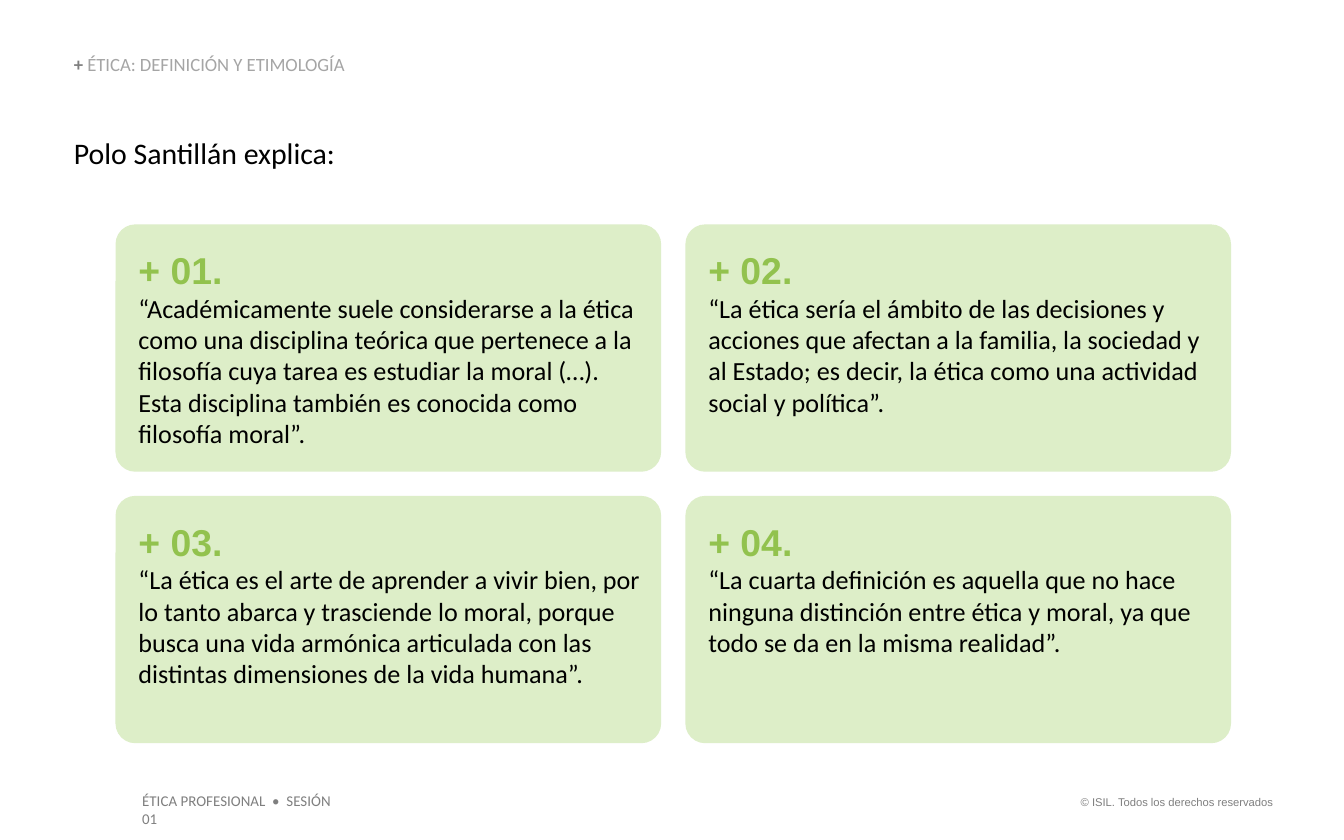
import pptx
import pptx.dml.color
import pptx.enum.shapes
import pptx.enum.text
import pptx.util
from dataclasses import dataclass

Align = pptx.enum.text.PP_ALIGN
Anchor = pptx.enum.text.MSO_ANCHOR


# Content
TITLE = "Polo Santillán explica:"
SECTION_MARK, SECTION = "+ ", "ÉTICA: DEFINICIÓN Y ETIMOLOGÍA"
COURSE = "ÉTICA PROFESIONAL  •  SESIÓN 01"
COPYRIGHT = "© ISIL. Todos los derechos reservados"
DEFINITIONS = [
    "“Académicamente suele considerarse a la ética como una disciplina teórica que "
    "pertenece a la filosofía cuya tarea es estudiar la moral (…). Esta disciplina "
    "también es conocida como filosofía moral”.",
    "“La ética sería el ámbito de las decisiones y acciones que afectan a la familia, "
    "la sociedad y al Estado; es decir, la ética como una actividad social y política”.",
    "“La ética es el arte de aprender a vivir bien, por lo tanto abarca y trasciende lo "
    "moral, porque busca una vida armónica articulada con las distintas dimensiones de "
    "la vida humana”.",
    "“La cuarta definición es aquella que no hace ninguna distinción entre ética y "
    "moral, ya que todo se da en la misma realidad”.",
]


# Theme: each style is font, size, colour, bold
@dataclass(frozen=True)
class Theme:
    card: str = "DDEEC8"
    title: tuple = ("Calibri", 16, "000000", False)
    mark: tuple = ("Calibri", 10, "7F7F7F", True)
    section: tuple = ("Calibri", 10, "A5A5A5", False)
    number: tuple = ("Arial", 20, "92C24E", True)
    body: tuple = ("Calibri", 14, "000000", False)
    course: tuple = ("Calibri", 8, "7F7F7F", False)
    copyright: tuple = ("Arial", 6, "7F7F7F", False)


THEME = Theme()

# Grid, in inches
COLUMNS = 2
MARGIN = 0.55
GRID_LEFT, GRID_TOP = 0.86, 1.67
CARD_WIDTH, CARD_HEIGHT = 4.06, 1.84
GAP = 0.18
PADDING = 0.17
TEXT_WIDTH = 3.75


def inches(*lengths):
    return [pptx.util.Inches(length) for length in lengths]


def color(value):
    return pptx.dml.color.RGBColor.from_string(value)


def apply(target, values):
    for name, value in values.items():
        setattr(target, name, value)


def write(shape, runs, insets=(0, 0), anchor=Anchor.TOP, **paragraph_format):
    """Fill a shape with one paragraph; a run of None is a line break."""
    frame = shape.text_frame
    side, end = inches(*insets)
    apply(frame, {
        "word_wrap": True, "vertical_anchor": anchor,
        "auto_size": pptx.enum.text.MSO_AUTO_SIZE.SHAPE_TO_FIT_TEXT,
        "margin_left": side, "margin_right": side,
        "margin_top": end, "margin_bottom": end,
    })
    paragraph = frame.paragraphs[0]
    apply(paragraph, {"alignment": Align.LEFT, **paragraph_format})
    for item in runs:
        if item is None:
            paragraph.add_line_break()
            continue
        text, (name, size, rgb, bold) = item
        run = paragraph.add_run()
        run.text = text
        apply(run.font, {"name": name, "size": pptx.util.Pt(size), "bold": bold})
        run.font.color.rgb = color(rgb)


def add_text(slide, box, runs, **options):
    write(slide.shapes.add_textbox(*inches(*box)), runs, **options)


def add_card(slide, index, definition):
    row, column = divmod(index, COLUMNS)
    left = GRID_LEFT + column * (CARD_WIDTH + GAP)
    top = GRID_TOP + row * (CARD_HEIGHT + GAP)
    card = slide.shapes.add_shape(
        pptx.enum.shapes.MSO_SHAPE.ROUNDED_RECTANGLE,
        *inches(left, top, CARD_WIDTH, CARD_HEIGHT))
    card.adjustments[0] = 0.08
    card.shadow.inherit = False
    card.fill.solid()
    card.fill.fore_color.rgb = color(THEME.card)
    card.line.fill.background()
    add_text(
        slide,
        (left + PADDING, top + PADDING, TEXT_WIDTH, CARD_HEIGHT - 2 * PADDING),
        [(f"+ {index + 1:02d}.", THEME.number), None, (definition, THEME.body)])


def main():
    presentation = pptx.Presentation()
    presentation.slide_width, presentation.slide_height = inches(10, 6.25)
    slide = presentation.slides.add_slide(
        presentation.slide_layouts.get_by_name("Title Only"))

    # Section line and title
    add_text(slide, (MARGIN, 0.41, 2.66, 0.15),
             [(SECTION_MARK, THEME.mark), (SECTION, THEME.section)],
             anchor=Anchor.BOTTOM, line_spacing=0.9)
    title = slide.shapes.title
    title.left, title.top, title.width, title.height = inches(MARGIN, 1, 2.01, 0.27)
    write(title, [(TITLE, THEME.title)])

    # Definition cards
    for index, definition in enumerate(DEFINITIONS):
        add_card(slide, index, definition)

    # Footer
    add_text(slide, (0.96, 5.84, 1.74, 0.24), [(COURSE, THEME.course)],
             insets=(0.1, 0.05))
    add_text(slide, (7.88, 5.87, 1.69, 0.2), [(COPYRIGHT, THEME.copyright)],
             insets=(0.1, 0.05), alignment=Align.RIGHT)

    presentation.save("out.pptx")


if __name__ == "__main__":
    main()
